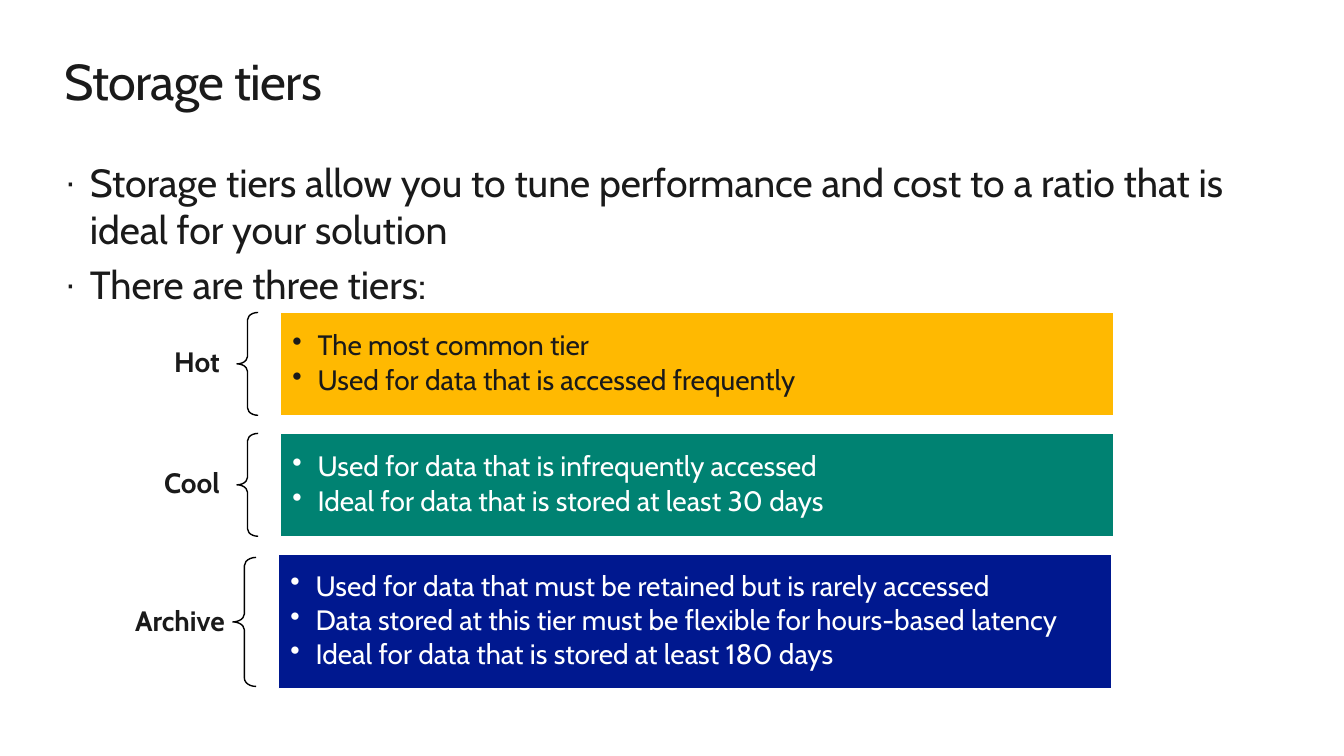
from lxml import etree
from pptx import Presentation
from pptx.dml.color import RGBColor
from pptx.enum import shapes, text
from pptx.oxml import ns
from pptx.util import Inches, Pt

INK = RGBColor(0x1A, 0x1A, 0x1A)
BLACK = RGBColor(0, 0, 0)
WHITE = RGBColor(0xFF, 0xFF, 0xFF)
AMBER = RGBColor(0xFF, 0xB9, 0x01)
TEAL = RGBColor(0x00, 0x82, 0x72)
NAVY = RGBColor(0x00, 0x18, 0x8F)

TITLE = "Storage tiers"
INTRO = [
    "Storage tiers allow you to tune performance and cost to a ratio that is ideal for your solution",
    "There are three tiers:",
]
SMALL_TOPS = (3.1, 4.3)
HOT_BOXES, COOL_BOXES = [
    ((1.06, top, 1.28, 1.02), (2.35, top, 0.21, 1.02), (2.78, top, 8.27, 1.02))
    for top in SMALL_TOPS
]
ARCHIVE_BOXES = ((0.69, 5.66, 1.7, 1.02), (2.31, 5.53, 0.23, 1.28), (2.76, 5.5, 8.27, 1.33))
TIERS = [
    ("Hot", AMBER, INK, HOT_BOXES,
     ["The most common tier", "Used for data that is accessed frequently"]),
    ("Cool", TEAL, WHITE, COOL_BOXES,
     ["Used for data that is infrequently accessed",
      "Ideal for data that is stored at least 30 days"]),
    ("Archive", NAVY, WHITE, ARCHIVE_BOXES,
     ["Used for data that must be retained but is rarely accessed",
      "Data stored at this tier must be flexible for hours-based latency",
      "Ideal for data that is stored at least 180 days"]),
]


def inches(box):
    return [Inches(v) for v in box]


def set_frame(tf, margins, anchor):
    tf.word_wrap = True
    tf.auto_size = text.MSO_AUTO_SIZE.NONE
    tf.vertical_anchor = anchor
    tf.margin_left, tf.margin_top, tf.margin_right, tf.margin_bottom = inches(margins)


def write(tf, lines, size, color, bold=False, align=text.PP_ALIGN.LEFT,
          line_spacing=1.0, before=0, after=0, bullet=None, bullet_size=100):
    tf.text = "\n".join(lines)
    for p in tf.paragraphs:
        p.alignment = align
        p.line_spacing = line_spacing
        p.space_before, p.space_after = Pt(before), Pt(after)
        for r in p.runs:
            r.font.name, r.font.size, r.font.bold = "Cabin", Pt(size), bold
            r.font.color.rgb = color
        if bullet:
            pPr = p._p.get_or_add_pPr()
            pPr.set("marL", str(Inches(0.25)))
            pPr.set("indent", str(-Inches(0.25)))
            etree.SubElement(pPr, ns.qn("a:buSzPct")).set("val", str(bullet_size * 1000))
            etree.SubElement(pPr, ns.qn("a:buChar")).set("char", bullet)


def place(ph, box):
    ph.left, ph.top, ph.width, ph.height = inches(box)
    set_frame(ph.text_frame, (0, 0, 0, 0), text.MSO_ANCHOR.TOP)
    return ph.text_frame


def add_tier(s, name, fill, color, boxes, points):
    label_box, brace_box, panel_box = boxes
    label = s.shapes.add_textbox(*inches(label_box))
    set_frame(label.text_frame, (0.16, 0.06, 0.16, 0.06), text.MSO_ANCHOR.MIDDLE)
    write(label.text_frame, [name], 20, INK, bold=True,
          align=text.PP_ALIGN.RIGHT, line_spacing=0.9, after=7)

    brace = s.shapes.add_shape(shapes.MSO_SHAPE.LEFT_BRACE, *inches(brace_box))
    brace.shadow.inherit = False
    brace.adjustments[0], brace.adjustments[1] = 0.35, 0.5
    brace.fill.background()
    brace.line.color.rgb, brace.line.width = BLACK, Pt(1)

    panel = s.shapes.add_shape(shapes.MSO_SHAPE.RECTANGLE, *inches(panel_box))
    panel.shadow.inherit = False
    panel.fill.solid()
    panel.fill.fore_color.rgb = fill
    panel.line.color.rgb, panel.line.width = WHITE, Pt(0.85)
    set_frame(panel.text_frame, (0.12, 0.04, 0.04, 0.04), text.MSO_ANCHOR.MIDDLE)
    write(panel.text_frame, points, 20, color, line_spacing=0.9, after=3, bullet="•")


def main():
    """Build the storage tiers slide."""
    prs = Presentation()
    prs.slide_width, prs.slide_height = Inches(13.33), Inches(7.5)
    s = prs.slides.add_slide(prs.slide_layouts[1])

    tf = place(s.shapes.title, (0.64, 0.5, 12.05, 0.61))
    write(tf, [TITLE], 36, INK)
    tf.paragraphs[0].runs[0].font._element.set("spc", "-50")

    tf = place(s.placeholders[1], (0.64, 1.57, 12.05, 2.52))
    write(tf, INTRO, 28, INK, before=5.6, bullet="·", bullet_size=90)

    for tier in TIERS:
        add_tier(s, *tier)
    prs.save("out.pptx")


if __name__ == "__main__":
    main()
